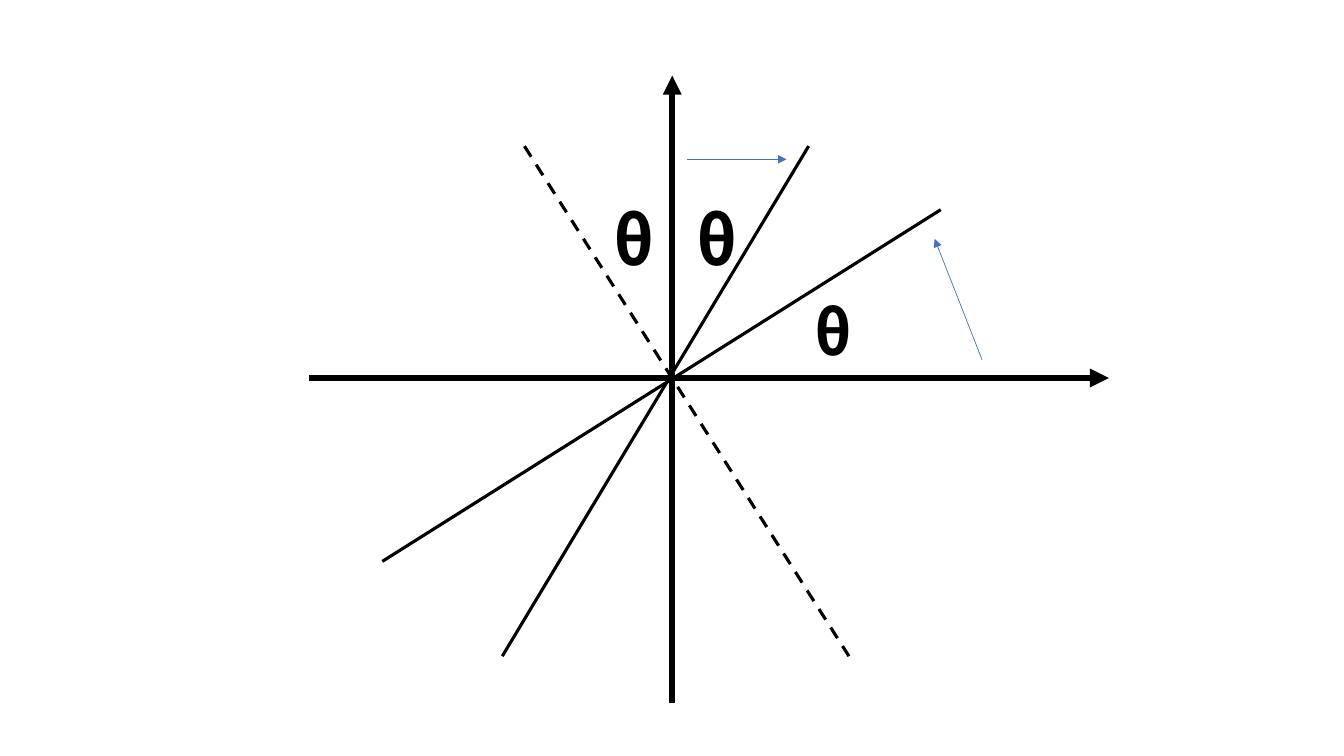
from pptx import Presentation
from pptx.dml.color import RGBColor
from pptx.enum.dml import MSO_LINE
from pptx.enum.shapes import MSO_CONNECTOR
from pptx.enum.text import MSO_AUTO_SIZE
from pptx.util import Pt
from lxml.etree import SubElement
from pptx.oxml.ns import qn

BLACK = RGBColor(0x00, 0x00, 0x00)
BLUE = RGBColor(0x44, 0x72, 0xC4)
FONT = "Noto Sans CJK SC"


def add_line(slide, start, end, color, width, dash=False, arrow=False):
    """Draw a straight line, dashed or with an arrowhead at its end if asked."""
    line = slide.shapes.add_connector(
        MSO_CONNECTOR.STRAIGHT, *(Pt(v) for v in (*start, *end)))
    line.line.color.rgb = color
    line.line.width = Pt(width)
    if dash:
        line.line.dash_style = MSO_LINE.DASH
    if arrow:
        SubElement(line.line._get_or_add_ln(), qn("a:tailEnd"), type="triangle")
    SubElement(line._element.spPr, qn("a:effectLst"))


def add_theta(slide, left, top, width, height, size):
    """Write one bold angle label in the given box."""
    box = slide.shapes.add_textbox(Pt(left), Pt(top), Pt(width), Pt(height))
    frame = box.text_frame
    frame.word_wrap = True
    frame.auto_size = MSO_AUTO_SIZE.SHAPE_TO_FIT_TEXT
    run = frame.paragraphs[0].add_run()
    run.text = "θ"
    font = run.font
    font.name, font.size, font.bold = FONT, Pt(size), True
    font.color.rgb = BLACK
    SubElement(font._element, qn("a:ea"), typeface=FONT)


def draw_axes(slide, left, top, width, height, cx, cy):
    """Draw both axes across the box, crossing at the centre."""
    for start, end in (((cx, top + height), (cx, top)),
                       ((left, cy), (left + width, cy))):
        add_line(slide, start, end, BLACK, 4.5, arrow=True)


def draw_rays(slide, cx, cy):
    """Draw the tilted lines and turn arrows around the centre."""
    rays = (
        ((-105.6, -165.6), (126.2, 198.7), True),
        ((97.4, -165.6), (-121.4, 198.7), False),
        ((191.8, -120.2), (-207.1, 131), False),
    )
    for (x1, y1), (x2, y2), dash in rays:
        add_line(slide, (cx + x1, cy + y1), (cx + x2, cy + y2),
                 BLACK, 2.25, dash=dash)
    turns = (((10.3, -156.2), (81.6, -156.2)),
             ((221.3, -13), (187.4, -99.4)))
    for (x1, y1), (x2, y2) in turns:
        add_line(slide, (cx + x1, cy + y1), (cx + x2, cy + y2),
                 BLUE, 0.5, arrow=True)


def draw_labels(slide, cx, cy):
    """Place the three angle labels around the centre."""
    labels = ((-49.4, -131.8, 37.4, 65.5, 48),
              (10.3, -131.8, 37.4, 65.5, 48),
              (94.6, -63.4, 42.5, 60.5, 44))
    for x, y, width, height, size in labels:
        add_theta(slide, cx + x, cy + y, width, height, size)


def draw_plane(slide, left, top, width, height):
    """Draw the whole angle diagram in the given box."""
    cx, cy = left + 259.2, top + 216
    draw_axes(slide, left, top, width, height, cx, cy)
    draw_rays(slide, cx, cy)
    draw_labels(slide, cx, cy)


def main():
    """Build the slide and save it."""
    deck = Presentation()
    deck.slide_width, deck.slide_height = Pt(960), Pt(540)
    slide = deck.slides.add_slide(deck.slide_layouts[6])
    draw_plane(slide, 221, 54, 571, 448.5)
    deck.save("out.pptx")


if __name__ == "__main__":
    main()
